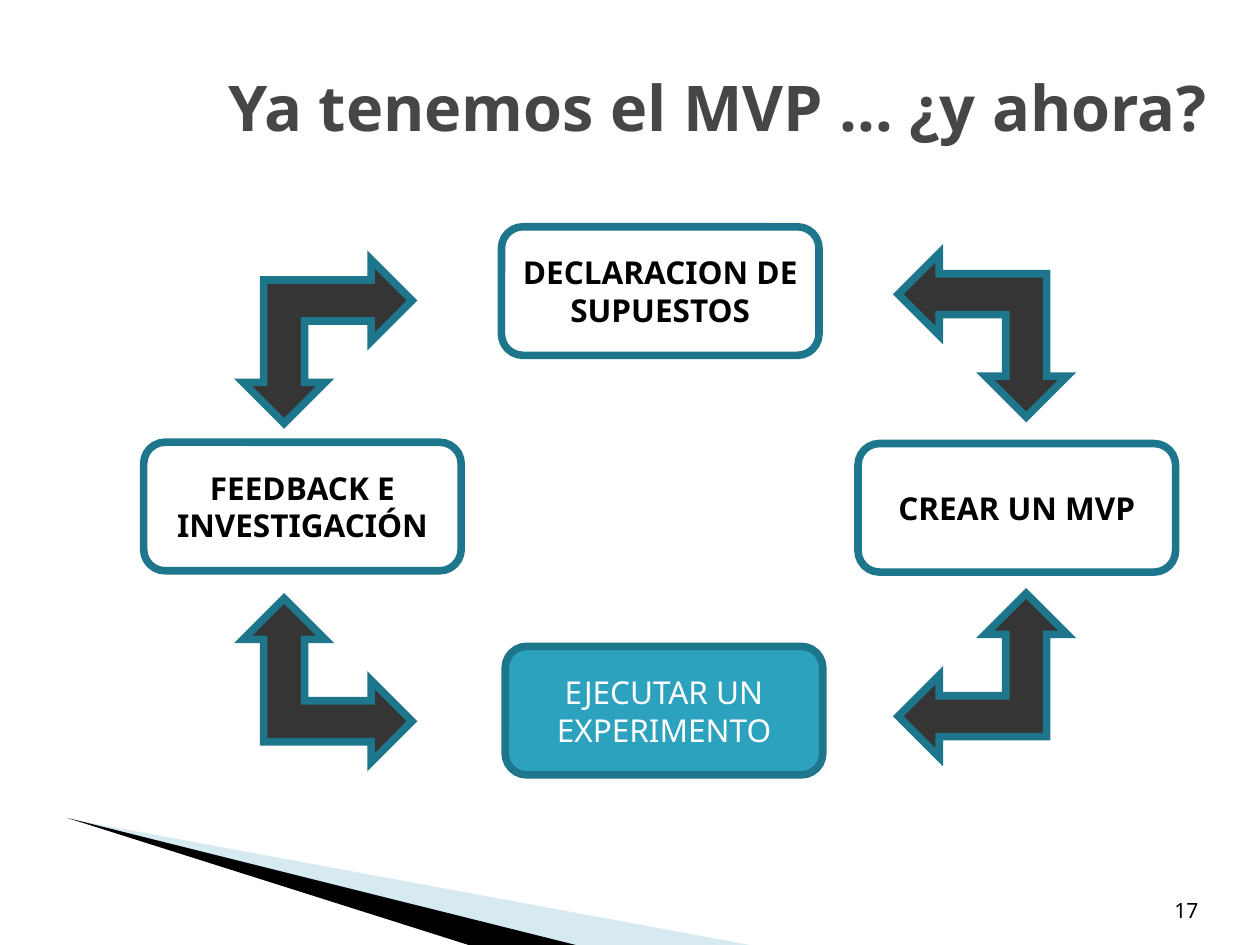
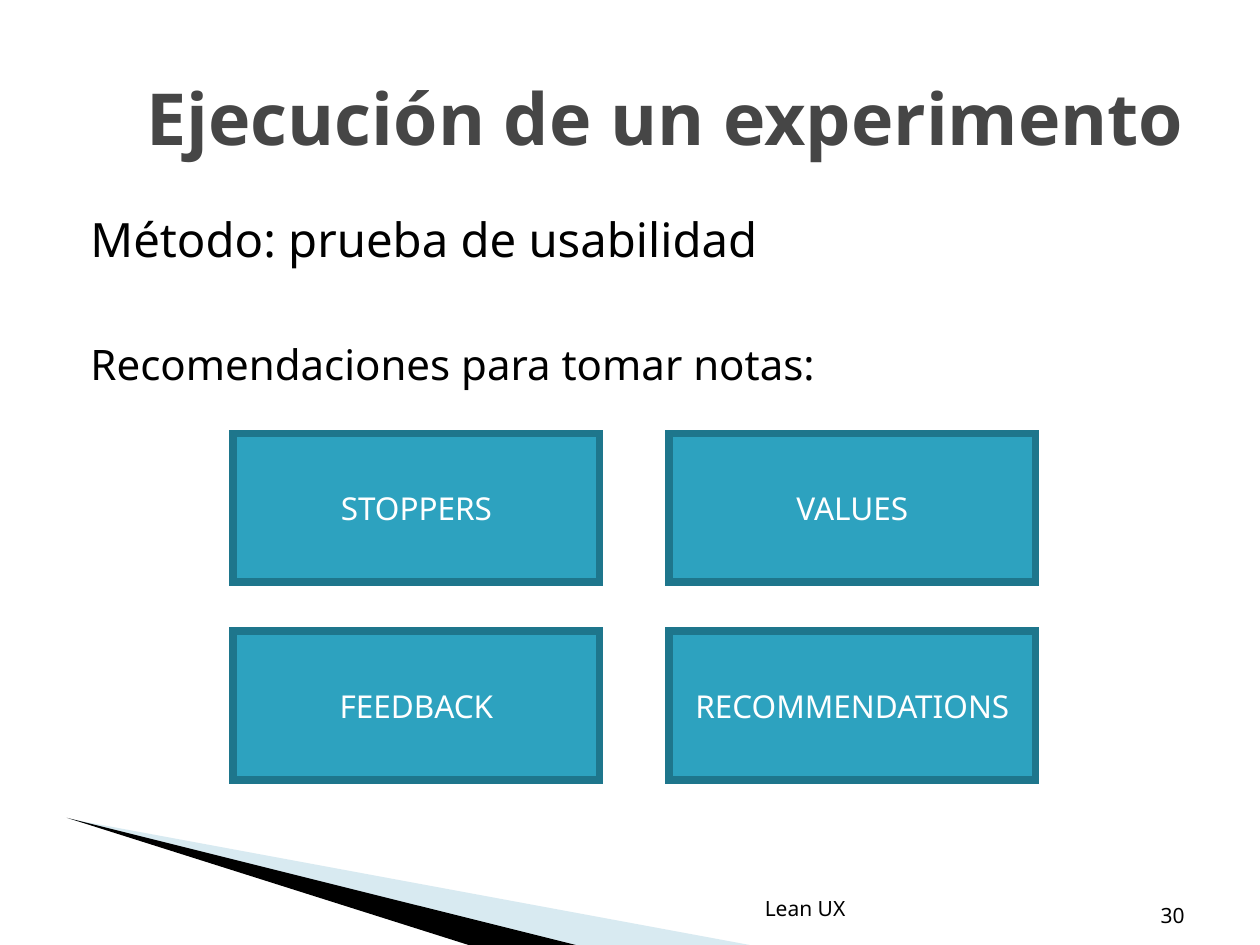
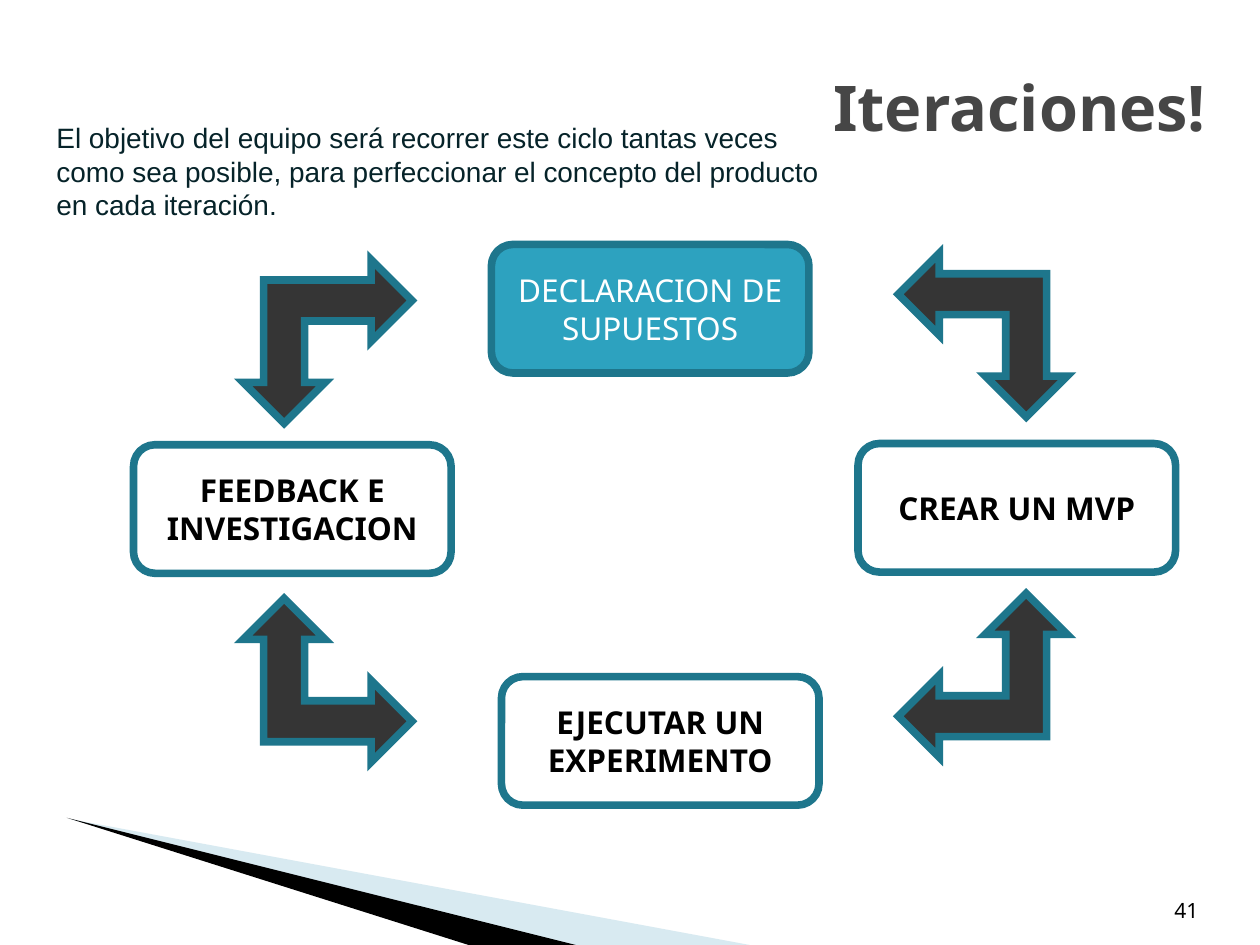
import pptx
import pptx.dml.color
import pptx.enum.shapes
import pptx.enum.text
import pptx.oxml.ns
import pptx.util
from lxml import etree

Inches = pptx.util.Inches
RGBColor = pptx.dml.color.RGBColor
SHAPE = pptx.enum.shapes.MSO_SHAPE
ALIGN = pptx.enum.text.PP_ALIGN
ANCHOR = pptx.enum.text.MSO_ANCHOR
qn = pptx.oxml.ns.qn

# Shared style
BLACK = RGBColor(0x00, 0x00, 0x00)
WHITE = RGBColor(0xFF, 0xFF, 0xFF)
TITLE_GRAY = RGBColor(0x46, 0x46, 0x46)
ARROW_GRAY = RGBColor(0x35, 0x35, 0x35)
TEAL = RGBColor(0x2D, 0xA2, 0xBF)
DARK_TEAL = RGBColor(0x1E, 0x76, 0x8C)
PALE_BLUE = RGBColor(0x9F, 0xCB, 0xDC)
INK = RGBColor(0x06, 0x23, 0x29)
FONT = "Noto Sans"

# Corner bands: outline, colour, opacity in percent
BANDS = [
    ([(0.55, 6.5), (5.95, 7.5), (4.56, 7.5)], PALE_BLUE, 40),
    ([(0.53, 6.49), (4.57, 7.5), (3.72, 7.5)], BLACK, 100),
]

# Title, title size, title box, page number, page number position
PAGES = [
    ("Ya tenemos el MVP … ¿y ahora? ", 36, (0.29, 0.22, 9.51, 1.25), "17", (8.5, 6.94)),
    ("Ejecución de un experimento", 41, (0.5, 0.3, 9, 1.25), "30", (8.39, 6.98)),
    ("Iteraciones! ", 36, (0.29, 0.22, 9.51, 1.25), "41", (8.5, 6.94)),
]

# Cycle steps by page: text, left, top, highlighted
CYCLES = {
    0: [
        ("DECLARACION DE SUPUESTOS", 3.98, 1.8, False),
        ("CREAR UN MVP", 6.81, 3.52, False),
        ("EJECUTAR UN EXPERIMENTO", 4.01, 5.13, True),
        ("FEEDBACK E INVESTIGACIÓN", 1.14, 3.51, False),
    ],
    2: [
        ("DECLARACION DE SUPUESTOS", 3.9, 1.94, True),
        ("CREAR UN MVP", 6.81, 3.52, False),
        ("EJECUTAR UN EXPERIMENTO", 3.98, 5.37, False),
        ("FEEDBACK E INVESTIGACION", 1.06, 3.53, False),
    ],
}

# Cycle arrows: centre and rotation
ARROWS = [(2.6, 2.71, 180), (7.8, 2.66, 270), (2.6, 5.4, 90), (7.8, 5.36, 0)]
ARROW_LONG, ARROW_SHORT = 1.34, 1.3

NOTE_TYPES = ["STOPPERS", "VALUES", "FEEDBACK", "RECOMMENDATIONS"]


def write_text(box, text, size, color, align, anchor, bold=False, font=FONT):
    frame = box.text_frame
    frame.text = text
    frame.word_wrap = True
    frame.vertical_anchor = anchor
    for para in frame.paragraphs:
        para.alignment = align
        for span in para.runs:
            span.font.name = font
            span.font.size = pptx.util.Pt(size)
            span.font.bold = bold
            span.font.color.rgb = color


def add_outlined(page, kind, left, top, width, height, fill=None):
    shape = page.shapes.add_shape(
        kind, Inches(left), Inches(top), Inches(width), Inches(height))
    shape.shadow.inherit = False
    if fill is None:
        shape.fill.background()
    else:
        shape.fill.solid()
        shape.fill.fore_color.rgb = fill
    shape.line.color.rgb = DARK_TEAL
    shape.line.width = pptx.util.Pt(4.33)
    if kind != SHAPE.ROUNDED_RECTANGLE:
        etree.SubElement(shape.line._get_or_add_ln(), qn("a:miter"), lim="800000")
    return shape


deck = pptx.Presentation()
deck.slide_width = Inches(10)
deck.slide_height = Inches(7.5)
pages = []

# Bands, title and page number on every page
for title, title_size, title_area, number, number_corner in PAGES:
    page = deck.slides.add_slide(deck.slide_layouts[6])
    pages.append(page)
    for points, color, opacity in BANDS:
        corners = [(Inches(x), Inches(y)) for x, y in points]
        builder = page.shapes.build_freeform(*corners[0])
        builder.add_line_segments(corners[1:], close=True)
        band = builder.convert_to_shape()
        band.shadow.inherit = False
        band.line.fill.background()
        band.fill.solid()
        band.fill.fore_color.rgb = color
        if opacity < 100:
            tint = band._element.spPr.find(qn("a:solidFill"))[0]
            etree.SubElement(tint, qn("a:alpha"), val=str(opacity * 1000))
    title_box = page.shapes.add_textbox(*[Inches(value) for value in title_area])
    write_text(title_box, title, title_size, TITLE_GRAY, ALIGN.RIGHT, ANCHOR.MIDDLE, bold=True)
    number_box = page.shapes.add_textbox(
        *[Inches(value) for value in number_corner], Inches(1.11), Inches(0.43))
    write_text(number_box, number, 12, BLACK, ALIGN.RIGHT, ANCHOR.BOTTOM)

# Cycle diagrams
for index, steps in CYCLES.items():
    page = pages[index]
    for text, left, top, highlighted in steps:
        step = add_outlined(page, SHAPE.ROUNDED_RECTANGLE, left, top, 2.52, 1.02,
                            TEAL if highlighted else None)
        write_text(step, text, 18, WHITE if highlighted else BLACK,
                   ALIGN.CENTER, ANCHOR.MIDDLE, bold=not highlighted)
    for center_x, center_y, rotation in ARROWS:
        width, height = ARROW_LONG, ARROW_SHORT
        if rotation in (90, 270):
            width, height = height, width
        arrow = add_outlined(page, SHAPE.LEFT_UP_ARROW, center_x - width / 2,
                             center_y - height / 2, width, height, ARROW_GRAY)
        arrow.rotation = rotation

# Experiment page: method, grid of note types and footer
page = pages[1]
method_box = page.shapes.add_textbox(Inches(0.5), Inches(1.62), Inches(9), Inches(4.95))
write_text(method_box, "Método: prueba de usabilidad\nRecomendaciones para tomar notas:",
           27, BLACK, ALIGN.LEFT, ANCHOR.TOP)
for para in method_box.text_frame.paragraphs:
    para._p.get_or_add_pPr().set("marL", str(Inches(0.12)))
advice = method_box.text_frame.paragraphs[1]
advice.space_before = pptx.util.Pt(41)
advice.runs[0].font.size = pptx.util.Pt(24)

for index, text in enumerate(NOTE_TYPES):
    row, column = divmod(index, 2)
    note = add_outlined(page, SHAPE.RECTANGLE, 1.85 + column * 3.46, 3.44 + row * 1.57,
                        2.91, 1.18, TEAL)
    write_text(note, text, 18, WHITE, ALIGN.CENTER, ANCHOR.MIDDLE)

footer = page.shapes.add_textbox(Inches(4.79), Inches(7.01), Inches(3.2), Inches(0.4))
write_text(footer, "Lean UX", 12, BLACK, ALIGN.CENTER, ANCHOR.MIDDLE)

# Goal of the iterations
goal_box = pages[2].shapes.add_textbox(Inches(0.35), Inches(0.91), Inches(6.3), Inches(0.91))
write_text(goal_box,
           "El objetivo del equipo será recorrer este ciclo tantas veces como sea posible, "
           "para perfeccionar el concepto del producto en cada iteración.",
           16, INK, ALIGN.LEFT, ANCHOR.TOP, font="Arial")

deck.save("out.pptx")
